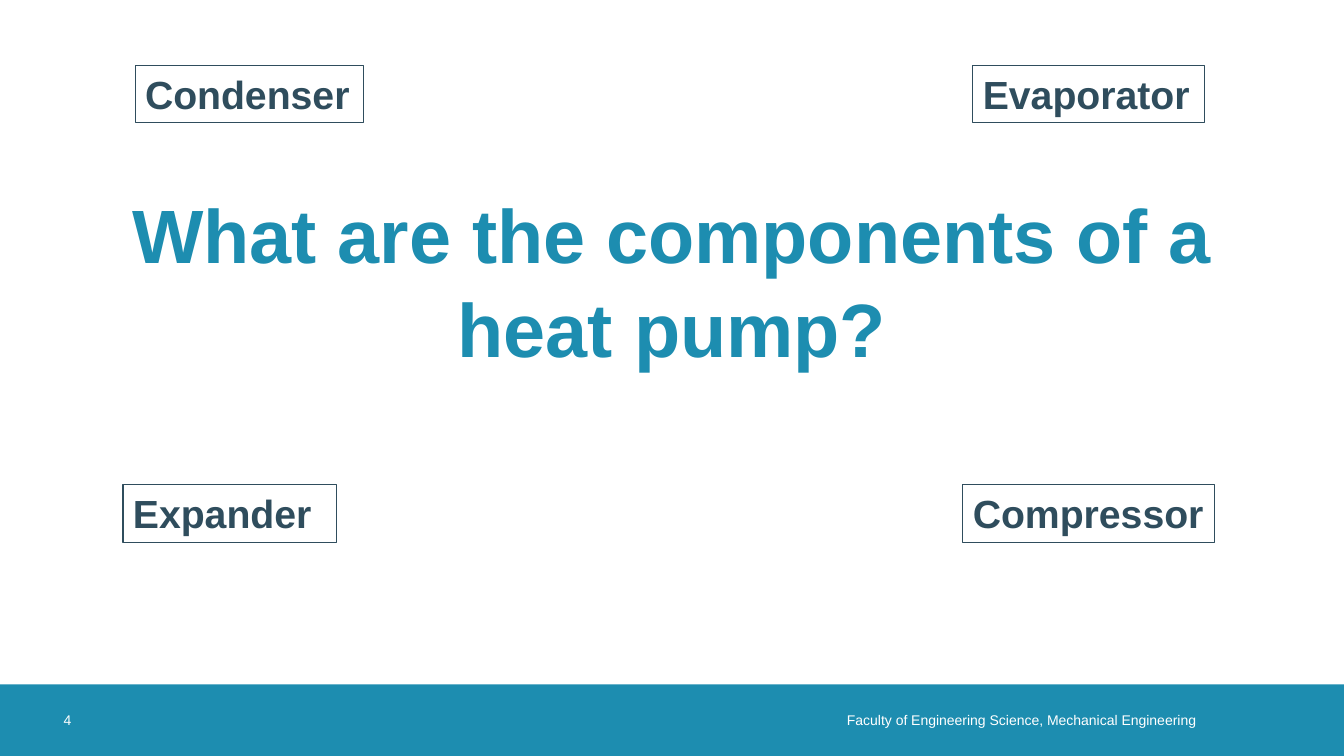
from dataclasses import dataclass

from pptx import Presentation
from pptx.dml.color import RGBColor as RGB
from pptx.enum.shapes import MSO_SHAPE as SHAPE
from pptx.enum.text import MSO_ANCHOR as ANCHOR, MSO_AUTO_SIZE as AUTO, PP_ALIGN as ALIGN
from pptx.util import Inches, Pt


@dataclass(frozen=True)
class Theme:
    font: str = "Arial"
    teal: RGB = RGB(0x1D, 0x8D, 0xB0)
    slate: RGB = RGB(0x2F, 0x4D, 0x5D)
    white: RGB = RGB(0xFF, 0xFF, 0xFF)
    title: Pt = Pt(54)
    label: Pt = Pt(28)
    footer: Pt = Pt(10)
    border: Pt = Pt(0.75)


THEME = Theme()
WIDTH, HEIGHT = Inches(13.33), Inches(7.5)
ZERO_MARGINS = dict.fromkeys(
    ("margin_left", "margin_top", "margin_right", "margin_bottom"), 0)


def apply(target, formats):
    for name, value in formats.items():
        setattr(target, name, value)


def write(sp, text, size, color, bold=False, align=ALIGN.LEFT, **frame):
    tf = sp.text_frame
    apply(tf, {"word_wrap": True, "vertical_anchor": ANCHOR.MIDDLE, **frame})
    p = tf.paragraphs[0]
    p.alignment = align
    r = p.add_run()
    r.text = text
    apply(r.font, {"name": THEME.font, "size": size, "bold": bold})
    r.font.color.rgb = color
    return p


def add_footer(s, left, top, width, height):
    band = s.shapes.add_shape(SHAPE.RECTANGLE, left, top, width, height)
    band.shadow.inherit = False
    band.fill.solid()
    band.fill.fore_color.rgb = THEME.teal
    band.line.fill.background()

    faculty = s.shapes.add_textbox(left + Inches(6.6), top, Inches(5.46), height)
    write(faculty, "Faculty of Engineering Science, Mechanical Engineering",
          THEME.footer, THEME.white, align=ALIGN.RIGHT,
          **{**ZERO_MARGINS, "margin_right": Inches(0.2)})
    number = s.shapes.add_textbox(left + Inches(0.63), top, height, height)
    write(number, "4", THEME.footer, THEME.white, **ZERO_MARGINS)


def add_question(s, left, top, width, height):
    sp = s.shapes.add_textbox(left, top, width, height)
    p = write(sp, "What are the components of a heat pump?", THEME.title,
              THEME.teal, bold=True, align=ALIGN.CENTER, **ZERO_MARGINS)
    p.line_spacing = 1.04


def add_component(s, text, left, top, width, height):
    sp = s.shapes.add_shape(SHAPE.RECTANGLE, left, top, width, height)
    sp.shadow.inherit = False
    sp.fill.background()
    sp.line.color.rgb = THEME.slate
    sp.line.width = THEME.border
    write(sp, text, THEME.label, THEME.slate, bold=True,
          vertical_anchor=ANCHOR.TOP, auto_size=AUTO.SHAPE_TO_FIT_TEXT)


def add_components(s, left, top, width, height):
    label_height = Inches(0.57)
    upper, lower = top, top + height - label_height
    labels = [
        ("Evaporator", 8.43, upper, 2.3),
        ("Condenser", 0.12, upper, 2.27),
        ("Expander", 0, lower, 2.12),
        ("Compressor", 8.33, lower, 2.5),
    ]
    for text, offset, y, label_width in labels:
        add_component(s, text, left + Inches(offset), y,
                      Inches(label_width), label_height)


def main():
    prs = Presentation()
    prs.slide_width, prs.slide_height = WIDTH, HEIGHT
    s = prs.slides.add_slide(prs.slide_layouts[6])
    footer_top = Inches(6.79)
    add_footer(s, 0, footer_top, WIDTH, HEIGHT - footer_top)
    add_question(s, Inches(0.63), Inches(2.13), Inches(12.07), Inches(1.26))
    add_components(s, Inches(1.22), Inches(0.65), Inches(10.83), Inches(4.73))
    prs.save("out.pptx")


if __name__ == "__main__":
    main()
